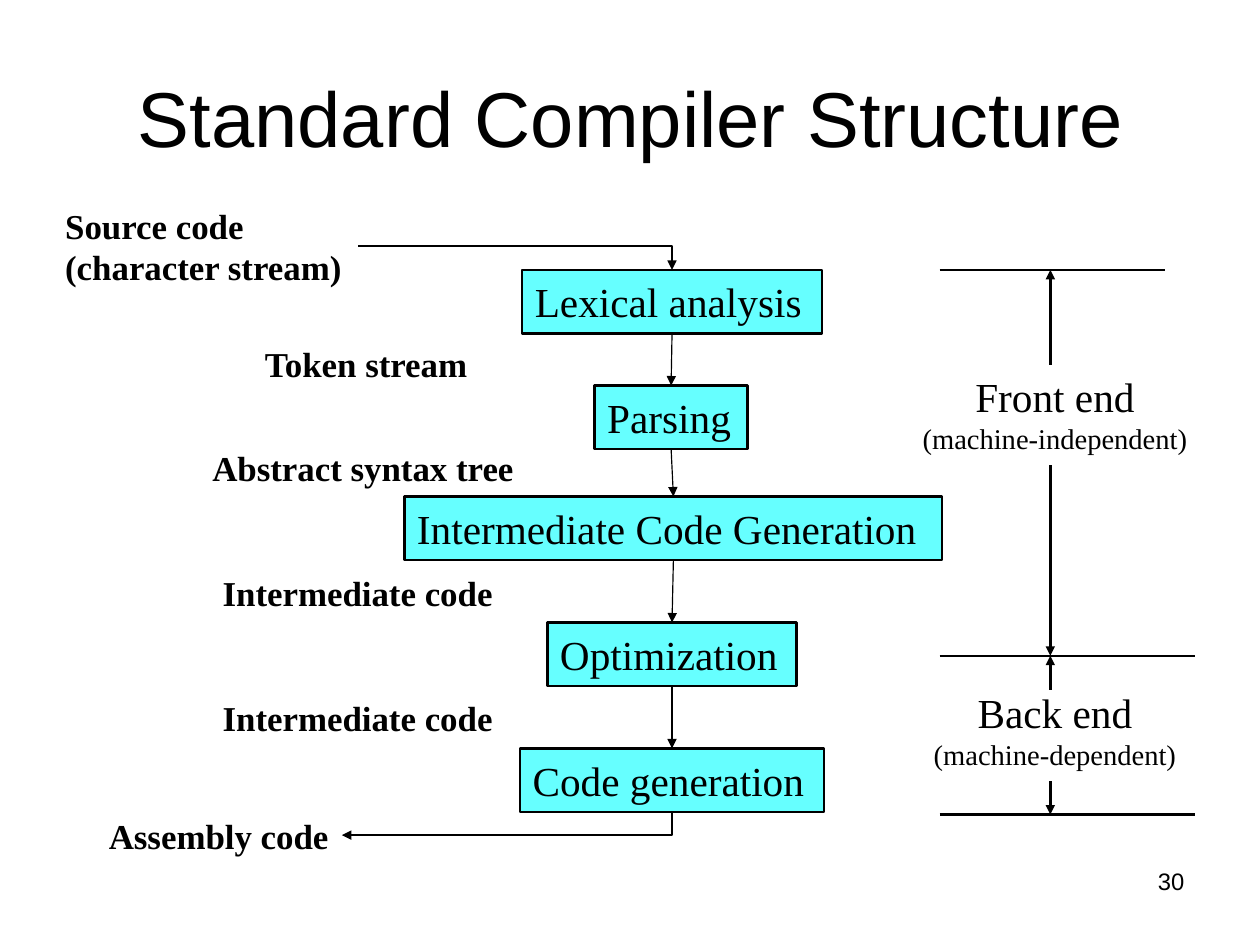
from dataclasses import dataclass

from lxml import etree
from pptx import Presentation
from pptx.dml.color import RGBColor
from pptx.enum.shapes import MSO_CONNECTOR, MSO_SHAPE
from pptx.enum.text import MSO_ANCHOR, PP_ALIGN
from pptx.oxml.ns import qn
from pptx.shapes.autoshape import Shape
from pptx.shapes.connector import Connector
from pptx.slide import Slide
from pptx.util import Cm, Pt

STRAIGHT, ELBOW = MSO_CONNECTOR.STRAIGHT, MSO_CONNECTOR.ELBOW
RECT = MSO_SHAPE.RECTANGLE
LEFT, CENTER, RIGHT = PP_ALIGN.LEFT, PP_ALIGN.CENTER, PP_ALIGN.RIGHT
TOP, MIDDLE = MSO_ANCHOR.TOP, MSO_ANCHOR.MIDDLE


@dataclass(frozen=True)
class Theme:
    ink: RGBColor = RGBColor(0, 0, 0)
    fill: RGBColor = RGBColor(0x66, 0xFF, 0xFF)
    sans: str = "Arial"
    serif: str = "Times New Roman"
    title: float = 49
    stage: float = 26
    label: float = 22
    note: float = 18
    page: float = 15
    thick: float = 1.5
    thin: float = 0.75


@dataclass(frozen=True)
class Stage:
    text: str
    left: float
    top: float
    width: float


@dataclass(frozen=True)
class Label:
    lines: tuple[str, ...]
    left: float
    top: float
    width: float
    height: float = 1.22


@dataclass(frozen=True)
class Phase:
    name: str
    note: str
    top: float


@dataclass(frozen=True)
class Line:
    x1: float
    y1: float
    x2: float
    y2: float
    arrow: bool = False


THEME = Theme()
AXIS = 14.94
STAGE_H = 1.42
STAGES = (
    Stage("Lexical analysis", 11.61, 6, 6.66),
    Stage("Parsing", 13.22, 8.57, 3.4),
    Stage("Intermediate Code Generation", 8.99, 11.04, 11.96),
    Stage("Optimization", 12.17, 13.84, 5.54),
    Stage("Code generation", 11.56, 16.64, 6.76),
)
LABELS = (
    Label(("Source code", "(character stream)"), 1.17, 4.39, 6.78, 2.16),
    Label(("Token stream",), 5.61, 7.46, 5.16),
    Label(("Abstract syntax tree",), 4.44, 9.79, 7.29),
    Label(("Intermediate code",), 4.67, 12.55, 6.58),
    Label(("Intermediate code",), 4.67, 15.34, 6.58),
    Label(("Assembly code",), 2.14, 17.96, 5.46),
)
PHASES = (
    Phase("Front end", "(machine-independent)", 8.11),
    Phase("Back end", "(machine-dependent)", 15.13),
)
SPAN_X, RULE_X = 23.35, 20.89
LINES = (
    Line(RULE_X, 6, 25.91, 6),
    Line(RULE_X, 14.58, 26.57, 14.58),
    Line(RULE_X, 18.11, 26.57, 18.11),
    Line(SPAN_X, 8.11, SPAN_X, 6, True),
    Line(SPAN_X, 10.35, SPAN_X, 14.58, True),
    Line(SPAN_X, 15.34, SPAN_X, 14.58, True),
    Line(SPAN_X, 17.37, SPAN_X, 18.11, True),
)


def write(shape: Shape, lines: tuple[str, ...], sizes: tuple[float, ...],
          face: str = THEME.serif, align: PP_ALIGN = LEFT,
          bold: bool = False, wrap: bool = True,
          anchor: MSO_ANCHOR = TOP) -> None:
    frame = shape.text_frame
    frame.word_wrap = wrap
    frame.vertical_anchor = anchor
    frame.margin_left = frame.margin_right = Cm(0.28)
    frame.margin_top = frame.margin_bottom = Cm(0.15)
    for i, (text, size) in enumerate(zip(lines, sizes)):
        para = frame.paragraphs[0] if i == 0 else frame.add_paragraph()
        para.alignment = align
        run = para.add_run()
        run.text = text
        run.font.name, run.font.size = face, Pt(size)
        run.font.bold = bold
        run.font.color.rgb = THEME.ink


def add_box(slide: Slide, left: float, top: float,
            width: float, height: float) -> Shape:
    return slide.shapes.add_textbox(Cm(left), Cm(top), Cm(width), Cm(height))


def add_stage(slide: Slide, stage: Stage) -> Shape:
    shape = slide.shapes.add_shape(
        RECT, Cm(stage.left), Cm(stage.top), Cm(stage.width), Cm(STAGE_H))
    shape.shadow.inherit = False
    shape.fill.solid()
    shape.fill.fore_color.rgb = THEME.fill
    shape.line.color.rgb = THEME.ink
    shape.line.width = Pt(THEME.thick)
    write(shape, (stage.text,), (THEME.stage,))
    return shape


def add_line(slide: Slide, line: Line, weight: float = THEME.thick,
             kind: MSO_CONNECTOR = STRAIGHT) -> Connector:
    link = slide.shapes.add_connector(
        kind, Cm(line.x1), Cm(line.y1), Cm(line.x2), Cm(line.y2))
    link.line.color.rgb = THEME.ink
    link.line.width = Pt(weight)
    if line.arrow:
        etree.SubElement(link.line._get_or_add_ln(), qn("a:tailEnd"),
                         type="triangle")
    etree.SubElement(link._element.spPr, qn("a:effectLst"))
    return link


def add_bend(slide: Slide, line: Line, turn: bool = False) -> None:
    """Draw one corner; a turned bend runs down and then left."""
    if turn:
        mid_x, mid_y = (line.x1 + line.x2) / 2, (line.y1 + line.y2) / 2
        half_w = abs(line.y2 - line.y1) / 2
        half_h = abs(line.x2 - line.x1) / 2
        line = Line(mid_x - half_w, mid_y - half_h,
                    mid_x + half_w, mid_y + half_h, line.arrow)
    link = add_line(slide, line, kind=ELBOW)
    props = link._element.spPr
    props.find(qn("a:prstGeom")).set("prst", "bentConnector2")
    if turn:
        props.find(qn("a:xfrm")).set("rot", str(90 * 60000))


def main() -> None:
    deck = Presentation()
    # The page is a whole number of points each way
    deck.slide_width, deck.slide_height = Pt(794), Pt(595)
    slide = deck.slides.add_slide(deck.slide_layouts[5])

    # Title and page number
    title = slide.shapes.title
    title.left, title.top = Cm(1.4), Cm(0.84)
    title.width, title.height = Cm(25.22), Cm(3.51)
    write(title, ("Standard Compiler Structure",), (THEME.title,),
          THEME.sans, CENTER, anchor=MIDDLE)
    write(add_box(slide, 20.07, 19.12, 6.54, 1.45), ("30",), (THEME.page,),
          THEME.sans, RIGHT)

    # Stages, joined from top to bottom
    shapes = [add_stage(slide, stage) for stage in STAGES]
    for upper, lower in zip(shapes, shapes[1:]):
        link = add_line(slide, Line(AXIS, 0, AXIS, 1, True), THEME.thin)
        link.begin_connect(upper, 2)
        link.end_connect(lower, 0)

    # Input and output arrows
    add_bend(slide, Line(7.96, 5.47, AXIS, STAGES[0].top, True))
    add_bend(slide, Line(AXIS, STAGES[-1].top + STAGE_H, 7.6, 18.57, True),
             turn=True)

    # Data passed between stages
    for label in LABELS:
        box = add_box(slide, label.left, label.top, label.width, label.height)
        write(box, label.lines, (THEME.label,) * len(label.lines),
              bold=True, wrap=False)

    # Front and back end spans
    for phase in PHASES:
        write(add_box(slide, 19.66, phase.top, 7.59, 2.24),
              (phase.name, phase.note), (THEME.stage, THEME.note),
              align=CENTER)
    for line in LINES:
        add_line(slide, line)

    deck.save("out.pptx")


if __name__ == "__main__":
    main()
